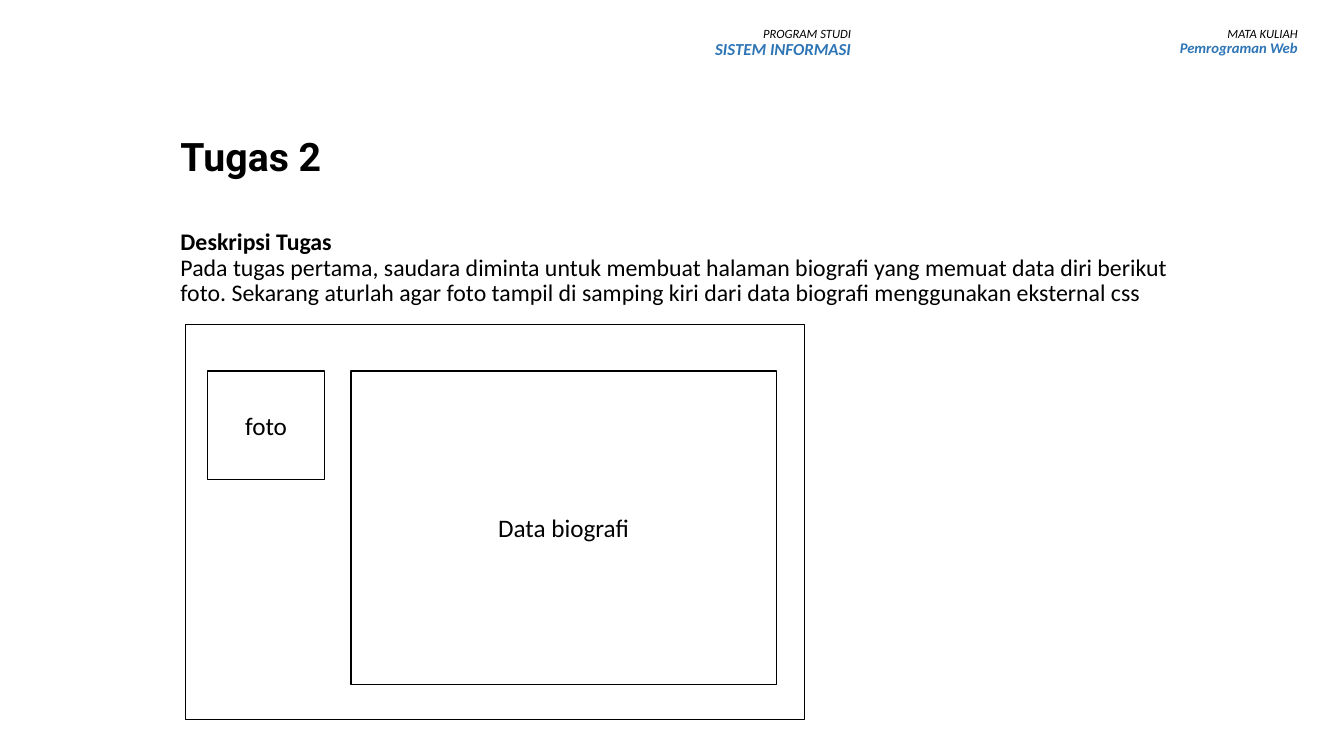
from dataclasses import dataclass

from lxml import etree
from pptx import Presentation
from pptx.dml.color import RGBColor
from pptx.enum.shapes import MSO_SHAPE
from pptx.enum.text import MSO_ANCHOR, MSO_AUTO_SIZE, PP_ALIGN
from pptx.oxml.ns import qn
from pptx.util import Inches, Pt

RECTANGLE = MSO_SHAPE.RECTANGLE
TOP, MIDDLE = MSO_ANCHOR.TOP, MSO_ANCHOR.MIDDLE
LEFT, CENTER, RIGHT = PP_ALIGN.LEFT, PP_ALIGN.CENTER, PP_ALIGN.RIGHT
NO_AUTOFIT = MSO_AUTO_SIZE.NONE


@dataclass(frozen=True)
class Theme:
    ink: RGBColor = RGBColor(0x00, 0x00, 0x00)
    paper: RGBColor = RGBColor(0xFF, 0xFF, 0xFF)
    accent: RGBColor = RGBColor(0x2E, 0x75, 0xB6)
    heading_font: str = "Roboto"
    text_font: str = "Calibri"
    title_size: float = 28
    body_size: float = 17
    box_size: float = 18
    label_size: float = 9
    course_size: float = 10.5
    program_size: float = 12
    line_width: float = 1
    line_spacing: float = 0.9


THEME = Theme()


def place(shape, box):
    shape.left, shape.top, shape.width, shape.height = map(Inches, box)


def prepare_frame(shape, anchor):
    frame = shape.text_frame
    frame.word_wrap = True
    frame.auto_size = NO_AUTOFIT
    frame.vertical_anchor = anchor
    return frame


def add_run(paragraph, text, size, font=THEME.text_font, color=THEME.ink,
            bold=False, italic=False):
    run = paragraph.add_run()
    run.text = text
    run.font.name = font
    run.font.size = Pt(size)
    run.font.bold = bold
    run.font.italic = italic
    run.font.color.rgb = color


def format_paragraph(paragraph, alignment):
    paragraph.alignment = alignment
    paragraph.line_spacing = THEME.line_spacing
    paragraph.space_before = paragraph.space_after = Pt(0)


def remove_bullet(paragraph):
    properties = paragraph._p.get_or_add_pPr()
    properties.set("marL", "0")
    properties.set("indent", "0")
    etree.SubElement(properties, qn("a:buNone"))


def fill_title(slide, box, text):
    title = slide.shapes.title
    place(title, box)
    paragraph = prepare_frame(title, MIDDLE).paragraphs[0]
    format_paragraph(paragraph, LEFT)
    add_run(paragraph, text, THEME.title_size, THEME.heading_font, bold=True)


def fill_description(slide, box, heading, description):
    body = slide.placeholders[1]
    place(body, box)
    frame = prepare_frame(body, TOP)
    for paragraph, text, bold in (
        (frame.paragraphs[0], heading, True),
        (frame.add_paragraph(), description, False),
    ):
        format_paragraph(paragraph, LEFT)
        remove_bullet(paragraph)
        add_run(paragraph, text, THEME.body_size, bold=bold)


def add_header_label(slide, box, label, name, name_size):
    text_box = slide.shapes.add_textbox(*map(Inches, box))
    frame = prepare_frame(text_box, TOP)
    label_paragraph = frame.paragraphs[0]
    name_paragraph = frame.add_paragraph()
    for paragraph in (label_paragraph, name_paragraph):
        format_paragraph(paragraph, RIGHT)
    add_run(label_paragraph, label, THEME.label_size, italic=True)
    add_run(name_paragraph, name, name_size, color=THEME.accent, bold=True, italic=True)


def add_outlined_box(slide, box, text=""):
    shape = slide.shapes.add_shape(RECTANGLE, *map(Inches, box))
    shape.shadow.inherit = False
    shape.fill.solid()
    shape.fill.fore_color.rgb = THEME.paper
    shape.line.color.rgb = THEME.ink
    shape.line.width = Pt(THEME.line_width)
    if text:
        paragraph = prepare_frame(shape, MIDDLE).paragraphs[0]
        paragraph.alignment = CENTER
        add_run(paragraph, text, THEME.box_size)


def add_page_layout(slide, box):
    left, top, width, height = box
    content_top = top + 0.46
    add_outlined_box(slide, box)
    add_outlined_box(slide, (left + 0.22, content_top, 1.16, 1.08), "foto")
    add_outlined_box(slide, (left + 1.64, content_top, width - 1.92, height - 0.81),
                     "Data biografi")


def build_task_slide(presentation):
    slide = presentation.slides.add_slide(presentation.slide_layouts[1])
    fill_title(slide, (1.69, 1.13, 10.66, 0.89), "Tugas 2")
    fill_description(
        slide, (1.69, 2.23, 10.27, 1), "Deskripsi Tugas",
        "Pada tugas pertama, saudara diminta untuk membuat halaman biografi yang memuat "
        "data diri berikut foto. Sekarang aturlah agar foto tampil di samping kiri dari "
        "data biografi menggunakan eksternal css",
    )
    for left, label, name, name_size in (
        (10.46, "MATA KULIAH", "Pemrograman Web", THEME.course_size),
        (6.03, "PROGRAM STUDI", "SISTEM INFORMASI", THEME.program_size),
    ):
        add_header_label(slide, (left, 0.22, 2.51, 0.56), label, name, name_size)
    add_page_layout(slide, (1.84, 3.22, 6.14, 3.92))


def main():
    presentation = Presentation()
    presentation.slide_width = Inches(13.33)
    presentation.slide_height = Inches(7.5)
    build_task_slide(presentation)
    presentation.save("out.pptx")


if __name__ == "__main__":
    main()
